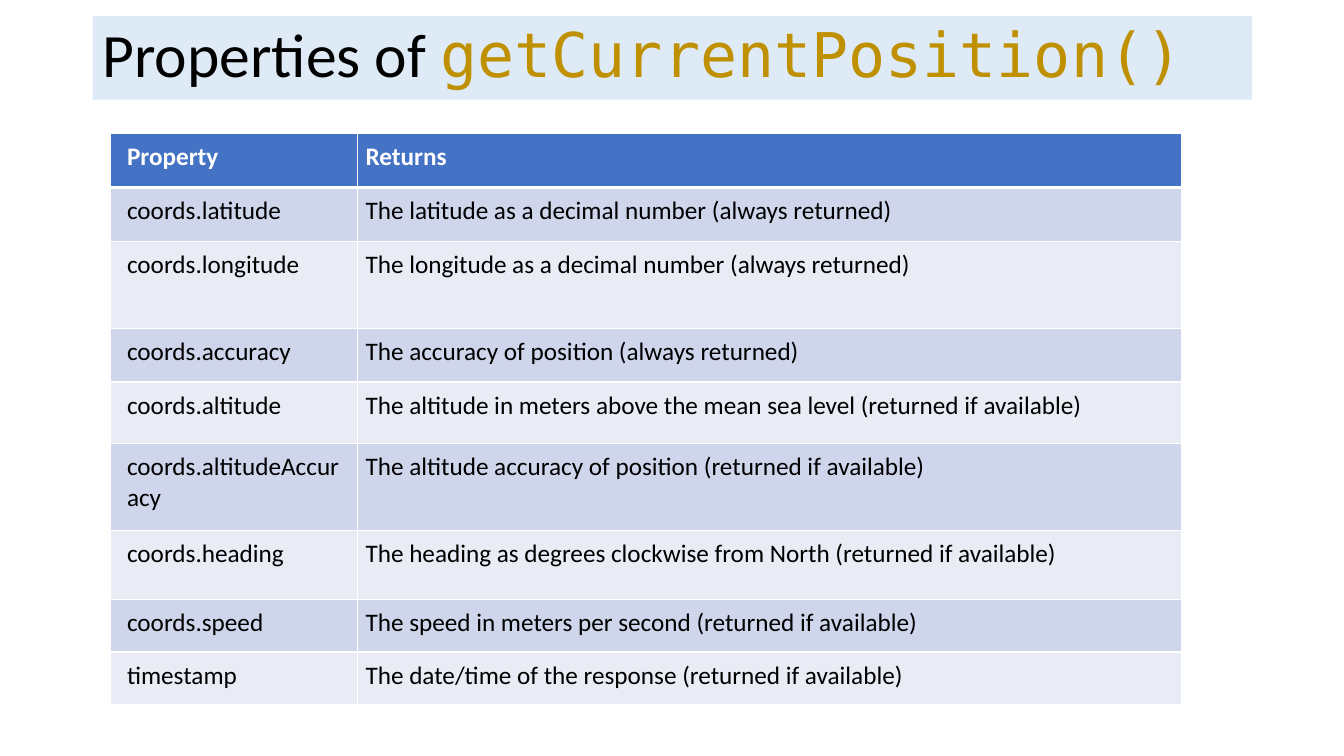
from lxml.etree import SubElement
from pptx import Presentation
from pptx.dml.color import RGBColor
from pptx.enum.text import MSO_ANCHOR
from pptx.oxml.ns import qn
from pptx.util import Inches, Pt

TITLE_BOX = (0.92, 0.16, 11.5, 0.83)
TABLE_BOX = (1.09, 1.32, 10.63, 5.67)
PROPERTY_SHARE = 0.231
ROW_HEIGHTS = [0.54, 0.54, 0.86, 0.53, 0.61, 0.86, 0.69, 0.52, 0.52]
BANDS = ["E9EBF5", "CFD5EA"]
PROPERTIES = [
    ("Property", "Returns"),
    ("coords.latitude", "The latitude as a decimal number (always returned)"),
    ("coords.longitude", "The longitude as a decimal number (always returned)"),
    ("coords.accuracy", "The accuracy of position (always returned)"),
    ("coords.altitude", "The altitude in meters above the mean sea level (returned if available)"),
    ("coords.altitudeAccuracy", "The altitude accuracy of position (returned if available)"),
    ("coords.heading", "The heading as degrees clockwise from North (returned if available)"),
    ("coords.speed", "The speed in meters per second (returned if available)"),
    ("timestamp", "The date/time of the response (returned if available)"),
]


def paint(target, color):
    """Give a fill or a font colour holder a solid hex colour."""
    target.rgb = RGBColor.from_string(color)


def fill_solid(part, color):
    """Fill a shape or cell with one colour."""
    part.fill.solid()
    paint(part.fill.fore_color, color)


def add_title(slide, box):
    """Place the title band with its call set in a monospaced font."""
    band = slide.shapes.add_textbox(*map(Inches, box))
    fill_solid(band, "DEEBF7")
    frame = band.text_frame
    frame.word_wrap = True
    frame.vertical_anchor = MSO_ANCHOR.MIDDLE
    heading = frame.paragraphs[0]
    heading.line_spacing = 0.9
    heading.font.size = Pt(44)
    for words, font, color in [
        ("Properties of ", "Calibri", "000000"),
        ("getCurrentPosition()", "DejaVu Sans Mono", "BF9000"),
    ]:
        run = heading.add_run()
        run.text = words
        run.font.name = font
        paint(run.font.color, color)


def add_borders(cell, widths):
    """Draw white cell borders, with a width in points for each side."""
    properties = cell._tc.get_or_add_tcPr()
    for index, (side, width) in enumerate(widths.items()):
        line = properties.makeelement(qn(f"a:{side}"), {"w": str(Pt(width))})
        solid = SubElement(line, qn("a:solidFill"))
        SubElement(solid, qn("a:srgbClr"), val="FFFFFF")
        properties.insert(index, line)


def add_properties_table(slide, box):
    """Place the table of properties and what each one returns."""
    left, top, width, height = map(Inches, box)
    table = slide.shapes.add_table(len(PROPERTIES), 2, left, top, width, height).table
    table.columns[0].width = int(width * PROPERTY_SHARE)
    table.columns[1].width = width - table.columns[0].width
    for row, entry in enumerate(PROPERTIES):
        table.rows[row].height = Inches(ROW_HEIGHTS[row])
        is_header = row == 0
        for column, words in enumerate(entry):
            cell = table.cell(row, column)
            cell.text = words
            cell.margin_left = Inches(0.08 if column else 0.17)
            cell.margin_top = cell.margin_right = cell.margin_bottom = Inches(0.08)
            fill_solid(cell, "4472C4" if is_header else BANDS[row % 2])
            font = cell.text_frame.paragraphs[0].font
            font.name = "Calibri"
            font.size = Pt(18)
            font.bold = is_header
            paint(font.color, "FFFFFF" if is_header else "000000")
            add_borders(cell, {
                "lnL": 1,
                "lnR": 1,
                "lnT": 3 if row == 1 else 1,
                "lnB": 3 if is_header else 1,
            })


def main():
    """Build the slide and save it."""
    deck = Presentation()
    deck.slide_width, deck.slide_height = Inches(13.33), Inches(7.5)
    slide = deck.slides.add_slide(deck.slide_layouts[6])
    add_title(slide, TITLE_BOX)
    add_properties_table(slide, TABLE_BOX)
    deck.save("out.pptx")


if __name__ == "__main__":
    main()
